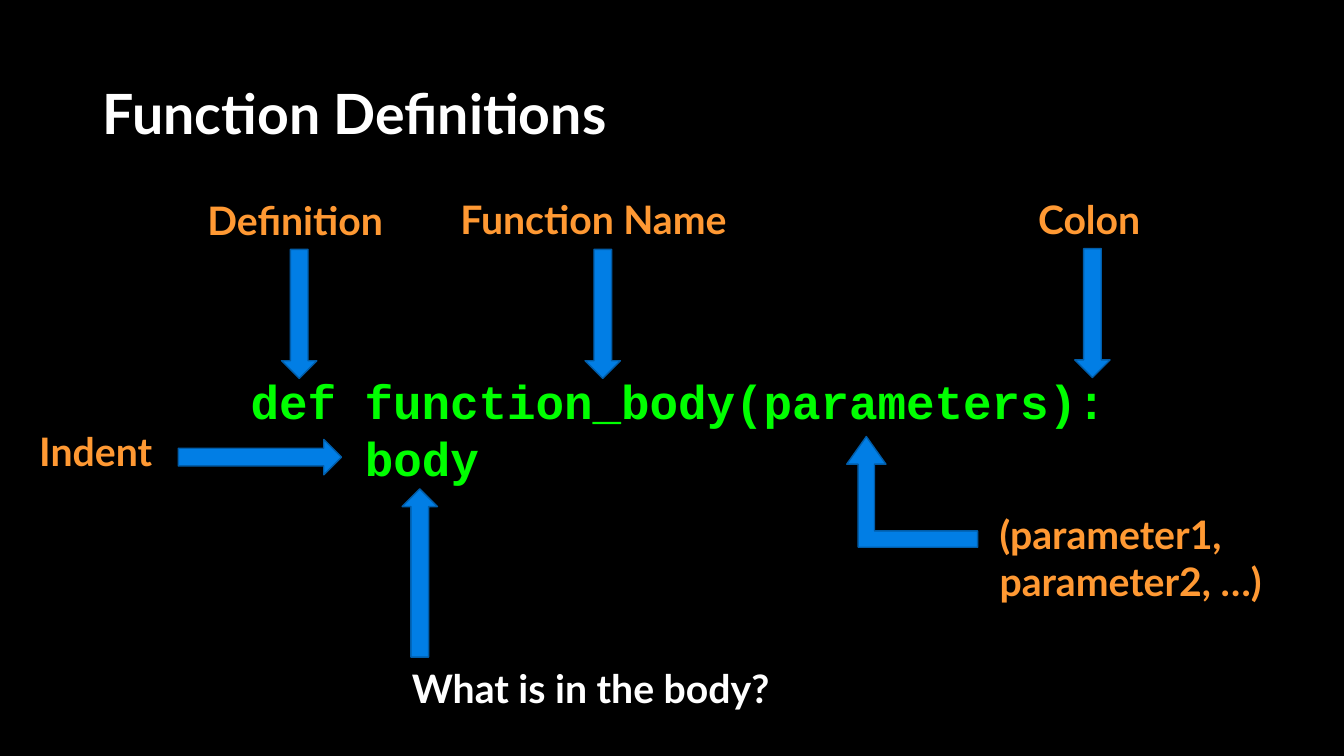
from pptx import Presentation
from pptx.dml.color import RGBColor
from pptx.enum.shapes import MSO_SHAPE
from pptx.enum.text import MSO_ANCHOR, MSO_AUTO_SIZE, PP_ALIGN
from pptx.oxml.ns import qn
from pptx.util import Cm, Pt

RIGHT_ARROW, BENT_ARROW = MSO_SHAPE.RIGHT_ARROW, MSO_SHAPE.BENT_UP_ARROW
LEFT, MIDDLE, TOP = PP_ALIGN.LEFT, MSO_ANCHOR.MIDDLE, MSO_ANCHOR.TOP
NO_AUTOFIT = MSO_AUTO_SIZE.NONE

# Content: lengths in cm, boxes as left, top, width, height
TITLE = ("Function Definitions", (2.34, 2.03, 29.21, 1.83))
CODE = (["def function_body(parameters):", "body"], (6.07, 9.25, 22.28, 3.18))
LABELS = [
    (["Indent"], (0.74, 10.64, 3.58, 1.45), "label"),
    (["Colon"], (25.91, 4.8, 3.25, 1.45), "label"),
    (["Definition"], (4.98, 4.83, 5.23, 1.45), "label"),
    (["(parameter1,", "parameter2, …)"], (24.94, 12.73, 7.77, 2.64), "label"),
    (["Function Name"], (11.35, 4.8, 7.67, 1.45), "label"),
    (["What is in the body?"], (10.13, 16.61, 10.11, 1.45), "question"),
]
# Straight arrows: centre x, centre y, length, rotation
DOWN, UP, ACROSS = 90, 270, 0
ARROWS = [
    (27.53, 7.89, 3.25, DOWN),
    (7.54, 7.91, 3.25, DOWN),
    (15.19, 7.91, 3.25, DOWN),
    (10.58, 14.44, 4.24, UP),
    (6.55, 11.52, 4.11, ACROSS),
]
ARROW_THICKNESS = 0.89
PARAMETER_ARROW = (21.34, 11, 3.3, 2.79)
PARAMETER_BENDS = (0.147, 0.177, 0.25)

# Theme
THEME = {
    "background": RGBColor(0x00, 0x00, 0x00),
    "arrow": RGBColor(0x01, 0x7E, 0xE5),
    "arrow_edge": RGBColor(0x01, 0x5D, 0xA9),
    "title": ("Lato", 39.6, RGBColor(0xFF, 0xFF, 0xFF)),
    "code": ("Courier New", 34, RGBColor(0x00, 0xFF, 0x00)),
    "label": ("Lato", 28, RGBColor(0xFF, 0x99, 0x33)),
    "question": ("Lato", 28, RGBColor(0xFF, 0xFF, 0xFF)),
}
CODE_INDENT = Pt(4 * 0.6 * THEME["code"][1])  # four monospaced characters


def write(frame, lines, style, anchor=TOP):
    frame.text = "\n".join(lines)
    frame_format = {"word_wrap": True, "auto_size": NO_AUTOFIT,
                    "vertical_anchor": anchor}
    for key, value in frame_format.items():
        setattr(frame, key, value)
    name, size, color = THEME[style]
    for paragraph in frame.paragraphs:
        paragraph.alignment = LEFT
        font = paragraph.runs[0].font
        for key, value in {"name": name, "size": Pt(size), "bold": True}.items():
            setattr(font, key, value)
        font.color.rgb = color


def add_text(slide, lines, box, style):
    frame = slide.shapes.add_textbox(*map(Cm, box)).text_frame
    write(frame, lines, style)
    return frame


def add_arrow(slide, preset, box):
    arrow = slide.shapes.add_shape(preset, *map(Cm, box))
    arrow.shadow.inherit = False
    arrow.fill.solid()
    arrow.fill.fore_color.rgb = THEME["arrow"]
    arrow.line.color.rgb = THEME["arrow_edge"]
    arrow.line.width = Pt(1)
    return arrow


def main():
    deck = Presentation()
    deck.slide_width, deck.slide_height = Cm(33.87), Cm(19.05)
    slide = deck.slides.add_slide(deck.slide_layouts[5])
    slide.background.fill.solid()
    slide.background.fill.fore_color.rgb = THEME["background"]

    # Title
    heading, box = TITLE
    title = slide.shapes.title
    for key, value in zip(("left", "top", "width", "height"), box):
        setattr(title, key, Cm(value))
    write(title.text_frame, [heading], "title", MIDDLE)
    title.text_frame.paragraphs[0].line_spacing = 0.9

    # Code with an indented body
    code = add_text(slide, *CODE, "code")
    body_format = code.paragraphs[1]._p.get_or_add_pPr()
    body_format.set("marL", str(int(CODE_INDENT)))
    body_format.set("indent", "0")

    # Labels
    for lines, box, style in LABELS:
        add_text(slide, lines, box, style)

    # Straight arrows
    for x, y, length, rotation in ARROWS:
        box = (x - length / 2, y - ARROW_THICKNESS / 2, length, ARROW_THICKNESS)
        add_arrow(slide, RIGHT_ARROW, box).rotation = rotation

    # Bent arrow to the parameters, mirrored
    bent = add_arrow(slide, BENT_ARROW, PARAMETER_ARROW)
    for index, bend in enumerate(PARAMETER_BENDS):
        bent.adjustments[index] = bend
    bent._element.spPr.find(qn("a:xfrm")).set("flipH", "1")

    deck.save("out.pptx")


if __name__ == "__main__":
    main()
